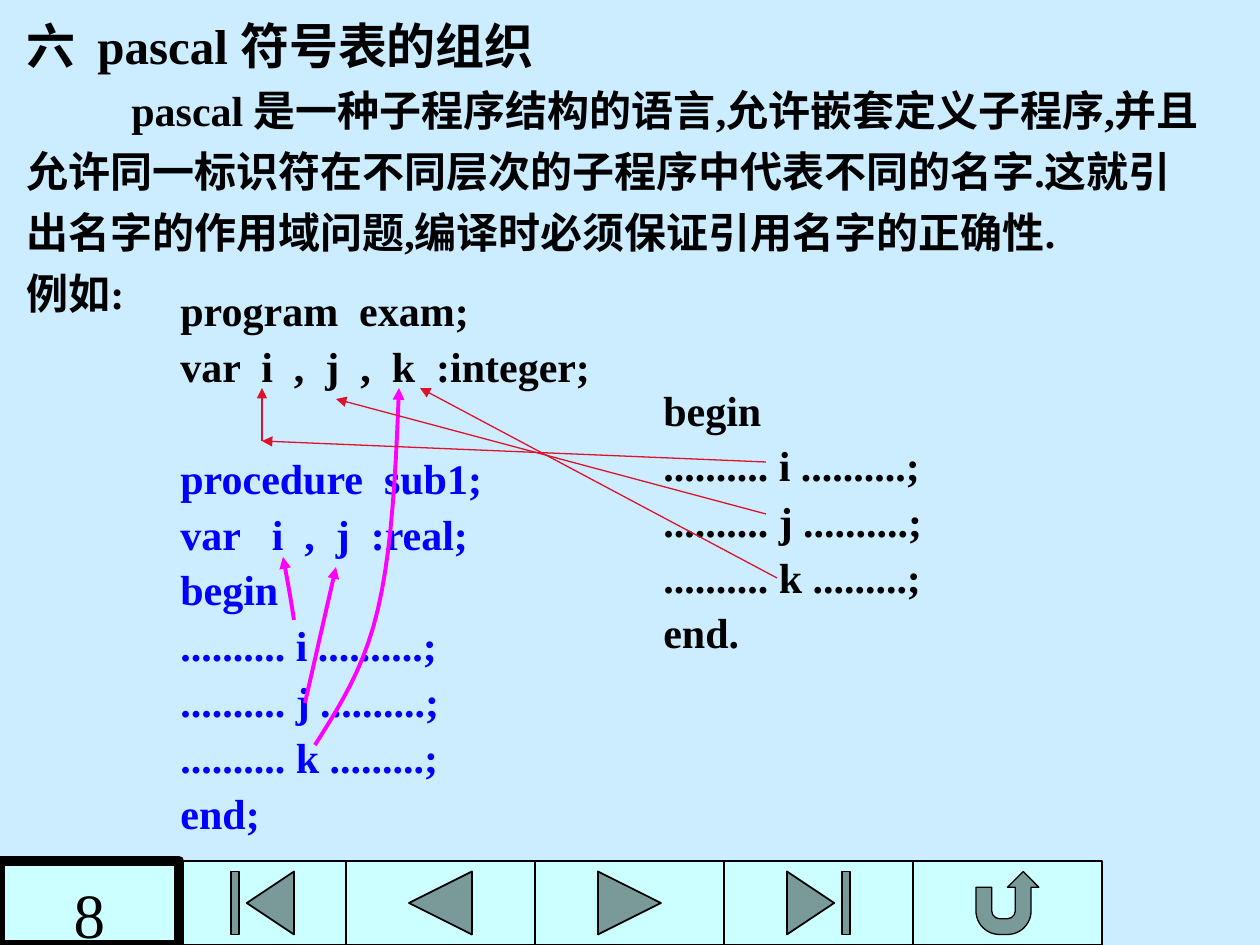
from itertools import pairwise
from typing import NamedTuple

from lxml.etree import SubElement
from pptx import Presentation
from pptx.dml.color import RGBColor as Rgb
from pptx.enum.shapes import MSO_CONNECTOR as Link, MSO_SHAPE as Kind
from pptx.enum.text import MSO_ANCHOR as Anchor, PP_ALIGN as Align
from pptx.oxml.ns import qn
from pptx.util import Emu, Pt

SCALE = 914400 / 126
FONT = "Times New Roman"
BLACK, BLUE, RED, PINK = "000000", "0000FF", "DD132B", "FF00FF"
SKY, AQUA = "CCECFF", "CCFFFF"


class Para(NamedTuple):
    """One line of text with its size, colour, spacing and indents."""
    text: str
    size: int = 24
    hue: str = BLACK
    gap: int = 6
    pitch: float = 1.0
    left: int = 0
    first: int = 0


class Block(NamedTuple):
    """A text box and its lines."""
    x: int
    y: int
    w: int
    h: int
    lines: list[Para]


class Arrow(NamedTuple):
    """A straight arrow."""
    start: tuple[int, int]
    end: tuple[int, int]
    hue: str = RED
    width: float = 0.75


class Curve(NamedTuple):
    """A chain of cubic segments that ends in an arrowhead."""
    points: list[tuple[int, int]]


class Button(NamedTuple):
    """An action button and its line width."""
    kind: Kind
    width: float = 1


def px(n: float) -> Emu:
    """Turn pixels into EMU."""
    return Emu(round(n * SCALE))


def tint(code: str) -> Rgb:
    """Turn a hex string into a colour."""
    return Rgb.from_string(code)


def code(text: str, hue: str = BLACK, gap: int = 6, left: int = 126) -> Para:
    """Make a line of program text."""
    return Para(text, hue=hue, gap=gap, pitch=0.9, left=left)


INTRO = Block(14, 9, 1249, 315, [
    Para("六  pascal 符号表的组织", size=28),
    Para("pascal 是一种子程序结构的语言,允许嵌套定义子程序,并且", first=105),
    Para("允许同一标识符在不同层次的子程序中代表不同的名字.这就引"),
    Para("出名字的作用域问题,编译时必须保证引用名字的正确性."),
    Para("例如:"),
])
OUTER = Block(42, 284, 562, 561, [
    code("program  exam;"),
    code("var  i  ,  j  ,  k  :integer;"),
    code("procedure  sub1;", BLUE, gap=38),
    *(code(text, BLUE) for text in (
        "var   i  ,  j  :real;", "begin", ".......... i ..........;",
        ".......... j ..........;", ".......... k .........;", "end;")),
])
MAIN = Block(651, 378, 285, 287, [
    Para("begin"),
    *(code(text, left=0) for text in (
        ".......... i ..........;", ".......... j ..........;",
        ".......... k .........;", "end.")),
])
CURVES = [
    Curve([(294, 620), (290, 593), (285, 567), (283, 557)]),
    Curve([(315, 745), (339, 707), (364, 669), (378, 609),
           (392, 549), (396, 469), (399, 388)]),
]
ARROWS = [
    Arrow((305, 703), (336, 567), PINK, 2.25),
    Arrow((766, 462), (262, 441)),
    Arrow((262, 441), (262, 388)),
    Arrow((766, 514), (336, 399)),
    Arrow((777, 578), (420, 388)),
]
BUTTONS = [
    Button(Kind.ACTION_BUTTON_BEGINNING),
    Button(Kind.ACTION_BUTTON_BACK_OR_PREVIOUS),
    Button(Kind.ACTION_BUTTON_FORWARD_OR_NEXT),
    Button(Kind.ACTION_BUTTON_END),
    Button(Kind.ACTION_BUTTON_RETURN, 0.75),
]
EDGES = [179, *(346 + 189 * n for n in range(5))]
BAR_Y, BAR_H = 861, 84


def write(para, text: str, size: int, hue: str, bold: bool) -> None:
    """Add one run to a paragraph."""
    run = para.add_run()
    run.text = text
    font = run.font
    font.name, font.size, font.bold = FONT, Pt(size), bold
    font.color.rgb = tint(hue)


def draw_block(shapes, block: Block) -> None:
    """Draw a text box line by line."""
    box = shapes.add_textbox(*map(px, block[:4]))
    frame = box.text_frame
    frame.word_wrap = True
    frame.margin_right = 0
    for n, line in enumerate(block.lines):
        para = frame.add_paragraph() if n else frame.paragraphs[0]
        para.line_spacing = line.pitch
        para.space_before = Pt(line.gap if n else 0)
        props = para._p.get_or_add_pPr()
        props.set("marL", str(px(line.left)))
        props.set("indent", str(px(line.first)))
        write(para, line.text, line.size, line.hue, True)


def ink(shape, hue: str, width: float) -> None:
    """Style a line as a flat arrow."""
    shape.line.color.rgb = tint(hue)
    shape.line.width = Pt(width)
    props = shape.element.spPr
    SubElement(props.find(qn("a:ln")), qn("a:tailEnd"), type="triangle")
    SubElement(props, qn("a:effectLst"))


def draw_arrow(shapes, arrow: Arrow) -> None:
    """Draw a straight arrow."""
    ends = map(px, arrow.start + arrow.end)
    ink(shapes.add_connector(Link.STRAIGHT, *ends), arrow.hue, arrow.width)


def cubic(a: int, b: int, c: int, d: int, t: float) -> float:
    """Find one coordinate on a cubic segment."""
    s = 1 - t
    return a * s**3 + 3 * b * s * s * t + 3 * c * s * t * t + d * t**3


def draw_curve(shapes, curve: Curve, steps: int = 10) -> None:
    """Draw a smooth open arrow."""
    pts = curve.points
    trail = [tuple(px(cubic(*axis, n / steps)) for axis in zip(*pts[k:k + 4]))
             for k in range(0, len(pts) - 1, 3) for n in range(1, steps + 1)]
    form = shapes.build_freeform(*map(px, pts[0]))
    form.add_line_segments(trail, close=False)
    shape = form.convert_to_shape()
    shape.fill.background()
    ink(shape, PINK, 2.25)


def draw_cell(shapes, kind: Kind, x: int, w: int, width: float):
    """Draw one cell of the bottom bar."""
    cell = shapes.add_shape(kind, px(x), px(BAR_Y), px(w), px(BAR_H))
    cell.shadow.inherit = False
    cell.fill.solid()
    cell.fill.fore_color.rgb = tint(AQUA)
    cell.line.color.rgb = tint(BLACK)
    cell.line.width = Pt(width)
    return cell


def draw_page(shapes) -> None:
    """Draw the page number box."""
    frame = draw_cell(shapes, Kind.RECTANGLE, 0, EDGES[0], 6).text_frame
    frame.vertical_anchor = Anchor.TOP
    frame.margin_top, frame.margin_bottom = px(15), 0
    para = frame.paragraphs[0]
    para.alignment = Align.CENTER
    write(para, "8", 36, BLACK, False)


def main() -> None:
    """Build the slide and save it."""
    deck = Presentation()
    deck.slide_width, deck.slide_height = px(1260), px(945)
    slide = deck.slides.add_slide(deck.slide_layouts[6])
    slide.background.fill.solid()
    slide.background.fill.fore_color.rgb = tint(SKY)
    shapes = slide.shapes
    for button, (x, end) in zip(BUTTONS, pairwise(EDGES)):
        draw_cell(shapes, button.kind, x, end - x, button.width)
    for block in (INTRO, OUTER, MAIN):
        draw_block(shapes, block)
    for curve in CURVES:
        draw_curve(shapes, curve)
    for arrow in ARROWS:
        draw_arrow(shapes, arrow)
    draw_page(shapes)
    deck.save("out.pptx")


if __name__ == "__main__":
    main()
